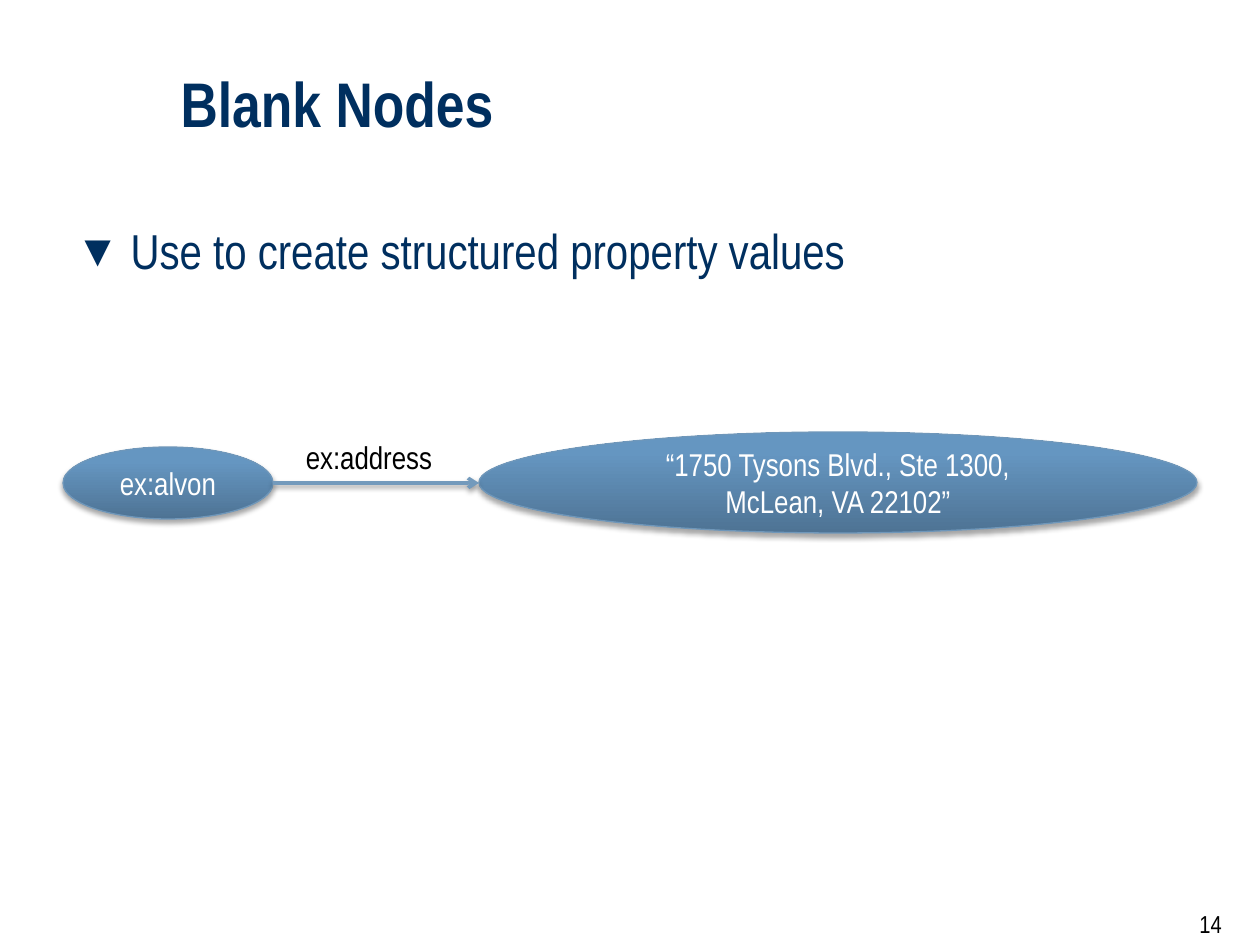
from copy import deepcopy
from dataclasses import dataclass

from lxml import etree
from pptx import Presentation
from pptx.dml.color import RGBColor
from pptx.enum.shapes import MSO_CONNECTOR, MSO_SHAPE
from pptx.enum.text import MSO_ANCHOR, PP_ALIGN
from pptx.oxml.ns import qn
from pptx.util import Emu, Pt

STRAIGHT = MSO_CONNECTOR.STRAIGHT
OVAL = MSO_SHAPE.OVAL
LEFT, CENTER = PP_ALIGN.LEFT, PP_ALIGN.CENTER
TOP, MIDDLE, BOTTOM = MSO_ANCHOR.TOP, MSO_ANCHOR.MIDDLE, MSO_ANCHOR.BOTTOM

FONT = "Arial Narrow"
NAVY = RGBColor(0x00, 0x2F, 0x5F)
BLACK = RGBColor(0x00, 0x00, 0x00)
WHITE = RGBColor(0xFF, 0xFF, 0xFF)
NODE_LINE = RGBColor(0x6F, 0x97, 0xBA)
EDGE_LINE = RGBColor(0x73, 0x9A, 0xBC)
NODE_STOPS = [
    (0.0, RGBColor(0x4E, 0x73, 0x94)),
    (0.8, RGBColor(0x65, 0x96, 0xC1)),
    (1.0, RGBColor(0x64, 0x97, 0xC3)),
]


def px(n: int) -> Emu:
    return Emu(round(n * 914400 / 126))


@dataclass
class Box:
    x: int
    y: int
    w: int
    h: int

    def emu(self) -> list[Emu]:
        return [px(n) for n in (self.x, self.y, self.w, self.h)]


@dataclass
class Node:
    box: Box
    lines: list[str]


def add_run(p, text: str, size: int, color: RGBColor, bold: bool = False) -> None:
    r = p.add_run()
    r.text = text
    r.font.name = FONT
    r.font.size = Pt(size)
    r.font.bold = bold
    r.font.color.rgb = color


def place(sp, box: Box) -> None:
    sp.left, sp.top, sp.width, sp.height = box.emu()


def add_shadow(effects, alpha: int, distance: float) -> None:
    shadow = etree.SubElement(
        effects, qn("a:outerShdw"), blurRad=str(Pt(3.1)), dist=str(Pt(distance)),
        dir="5400000", rotWithShape="0")
    color = etree.SubElement(shadow, qn("a:srgbClr"), val=str(BLACK))
    etree.SubElement(color, qn("a:alpha"), val=str(alpha * 1000))


def add_node(slide, node: Node) -> None:
    sp = slide.shapes.add_shape(OVAL, *node.box.emu())
    sp.fill.gradient()
    sp.fill.gradient_angle = 90
    stop_list = sp._element.spPr.find(qn("a:gradFill")).find(qn("a:gsLst"))
    stop_list.append(deepcopy(stop_list[-1]))
    for stop, (position, color) in zip(sp.fill.gradient_stops, NODE_STOPS):
        stop.position = position
        stop.color.rgb = color
    sp.line.color.rgb = NODE_LINE
    sp.line.width = Pt(0.75)
    sp.shadow.inherit = False
    add_shadow(sp._element.spPr.find(qn("a:effectLst")), 35, 1.8)
    tf = sp.text_frame
    tf.word_wrap = True
    tf.vertical_anchor = MIDDLE
    for i, line in enumerate(node.lines):
        p = tf.add_paragraph() if i else tf.paragraphs[0]
        p.alignment = CENTER
        add_run(p, line, 18, WHITE)


def add_edge(slide, start: Box, end: Box) -> None:
    y = px(start.y + start.h // 2)
    line = slide.shapes.add_connector(STRAIGHT, px(start.x + start.w), y, px(end.x), y)
    line.line.color.rgb = EDGE_LINE
    line.line.width = Pt(2)
    sp_pr = line._element.spPr
    etree.SubElement(sp_pr.find(qn("a:ln")), qn("a:tailEnd"), type="arrow")
    add_shadow(etree.SubElement(sp_pr, qn("a:effectLst")), 38, 1.6)


def add_label(slide, box: Box, text: str, size: int, align: PP_ALIGN) -> None:
    tf = slide.shapes.add_textbox(*box.emu()).text_frame
    tf.word_wrap = True
    p = tf.paragraphs[0]
    p.alignment = align
    add_run(p, text, size, BLACK)


def fill_title(sp, text: str) -> None:
    place(sp, Box(168, 28, 1029, 119))
    tf = sp.text_frame
    tf.vertical_anchor = BOTTOM
    p = tf.paragraphs[0]
    p.alignment = LEFT
    p.line_spacing = 0.85
    add_run(p, text, 36, NAVY, bold=True)


def fill_body(sp, text: str) -> None:
    place(sp, Box(63, 221, 1134, 161))
    tf = sp.text_frame
    tf.vertical_anchor = TOP
    p = tf.paragraphs[0]
    p_pr = p._p.get_or_add_pPr()
    p_pr.set("marL", str(px(55)))
    p_pr.set("indent", str(-px(55)))
    etree.SubElement(p_pr, qn("a:buSzPct"), val="91000")
    etree.SubElement(p_pr, qn("a:buChar"), char="▼")
    p.line_spacing = 0.9
    p.space_before = Pt(0)
    add_run(p, text, 28, NAVY)


def main() -> None:
    prs = Presentation()
    prs.slide_width, prs.slide_height = px(1260), px(945)
    slide = prs.slides.add_slide(prs.slide_layouts[1])
    title, body = slide.placeholders
    fill_title(title, "Blank Nodes")
    fill_body(body, "Use to create structured property values")

    subject = Node(Box(63, 447, 210, 72), ["ex:alvon"])
    value = Node(Box(479, 432, 718, 101),
                 ["“1750 Tysons Blvd., Ste 1300,", "McLean, VA 22102”"])
    for node in (subject, value):
        add_node(slide, node)
    add_edge(slide, subject.box, value.box)
    add_label(slide, Box(273, 432, 192, 50), "ex:address", 18, CENTER)
    add_label(slide, Box(1187, 903, 53, 43), "14", 14, LEFT)
    prs.save("out.pptx")


if __name__ == "__main__":
    main()
